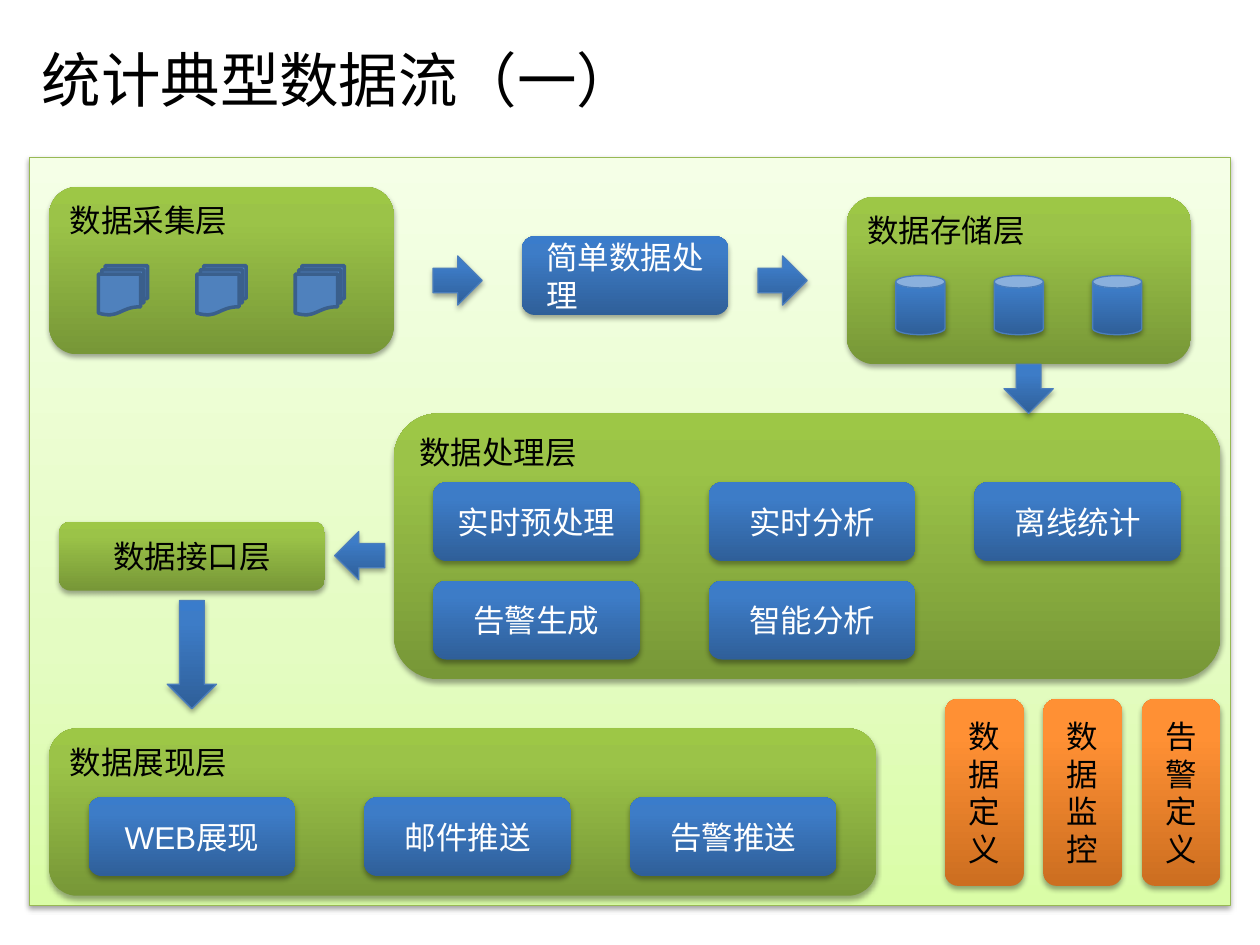
import copy
from dataclasses import dataclass

import pptx
import pptx.dml.color
import pptx.enum.shapes
import pptx.enum.text
import pptx.oxml
import pptx.oxml.ns
import pptx.util

MSO = pptx.enum.shapes.MSO_SHAPE
ANCHOR = pptx.enum.text.MSO_ANCHOR
RGB = pptx.dml.color.RGBColor.from_string


@dataclass(frozen=True)
class Theme:
    green: tuple = ((0, "779737"), (80, "9BC348"), (100, "9DC746"))
    blue: tuple = ((0, "2F5F99"), (80, "3D7CC7"), (100, "3A7CCB"))
    orange: tuple = ((0, "CC6E20"), (80, "FF9034"), (100, "FF9136"))
    pale: tuple = ((0, "DAFDA7"), (35, "E4FCC2"), (100, "F5FFE7"))
    pale_line: str = "98B955"
    blue_line: str = "4B7EBC"
    doc: str = "4F81BD"
    doc_line: str = "3A5F8C"
    dark: str = "000000"
    light: str = "FFFFFF"
    title_font: str = "Calibri"
    body_font: str = "Arial"
    title_size: int = 34
    body_size: int = 18


class FlowSlide:
    """Draws layers, steps and arrows on a slide of 128 columns by 96 rows."""

    def __init__(self, prs, theme):
        self.theme = theme
        self.s = prs.slides.add_slide(prs.slide_layouts[6])
        self.col = prs.slide_width / 128
        self.row = prs.slide_height / 96

    def place(self, x, y, w, h):
        return [round(v) for v in (x * self.col, y * self.row, w * self.col, h * self.row)]

    def label(self, tf, text, font, size, color, anchor):
        tf.word_wrap = True
        tf.vertical_anchor = anchor
        p = tf.paragraphs[0]
        p.alignment = pptx.enum.text.PP_ALIGN.LEFT
        r = p.add_run()
        r.text = text
        r.font.name = font
        r.font.size = pptx.util.Pt(size)
        r.font.color.rgb = RGB(color)

    def gradient(self, sp, stops):
        sp.fill.gradient()
        sp.fill.gradient_angle = 90
        gs_list = sp._element.spPr.find(".//" + pptx.oxml.ns.qn("a:gsLst"))
        gs_list.insert(1, copy.deepcopy(gs_list[0]))
        for stop, (position, color) in zip(sp.fill.gradient_stops, stops):
            stop.position = position / 100
            stop.color.rgb = RGB(color)

    def cast_shadow(self, sp, alpha, distance):
        effects = sp._element.spPr.find(pptx.oxml.ns.qn("a:effectLst"))
        effects.append(pptx.oxml.parse_xml(
            f'<a:outerShdw {pptx.oxml.ns.nsdecls("a")} blurRad="{pptx.util.Pt(3.1)}" '
            f'dist="{pptx.util.Pt(distance)}" dir="5400000" rotWithShape="0">'
            f'<a:srgbClr val="000000"><a:alpha val="{alpha * 1000}"/></a:srgbClr></a:outerShdw>'))

    def shape(self, kind, at, fill, line=None, width=0.75, shadow=(35, 1.8)):
        sp = self.s.shapes.add_shape(kind, *self.place(*at))
        sp.shadow.inherit = False
        if isinstance(fill, str):
            sp.fill.solid()
            sp.fill.fore_color.rgb = RGB(fill)
        else:
            self.gradient(sp, fill)
        if line:
            sp.line.color.rgb = RGB(line)
            sp.line.width = pptx.util.Pt(width)
        else:
            sp.line.fill.background()
        if shadow:
            self.cast_shadow(sp, *shadow)
        return sp

    def title(self, at, text):
        t = self.theme
        tf = self.s.shapes.add_textbox(*self.place(*at)).text_frame
        self.label(tf, text, t.title_font, t.title_size, t.dark, ANCHOR.MIDDLE)

    def panel(self, at):
        self.shape(MSO.RECTANGLE, at, self.theme.pale, self.theme.pale_line, shadow=(38, 1.6))

    def layer(self, at, text):
        t = self.theme
        sp = self.shape(MSO.ROUNDED_RECTANGLE, at, t.green)
        self.label(sp.text_frame, text, t.body_font, t.body_size, t.dark, ANCHOR.TOP)

    def box(self, at, text, fill, color):
        t = self.theme
        tf = self.shape(MSO.ROUNDED_RECTANGLE, at, fill).text_frame
        self.label(tf, text, t.body_font, t.body_size, color, ANCHOR.MIDDLE)
        tf._txBody.bodyPr.set("anchorCtr", "1")

    def step(self, x, y, text):
        self.box((x, y, 21, 8), text, self.theme.blue, self.theme.light)

    def arrow(self, kind, at):
        self.shape(kind, at, self.theme.blue, self.theme.blue_line)

    def database(self, x, y):
        self.shape(MSO.CAN, (x, y, 5, 6), self.theme.blue, self.theme.blue_line)

    def documents(self, x, y):
        t = self.theme
        self.shape(MSO.FLOWCHART_MULTIDOCUMENT, (x, y, 5, 5), t.doc, t.doc_line, 2, None)


def main():
    prs = pptx.Presentation()
    prs.slide_width = pptx.util.Inches(10)
    prs.slide_height = pptx.util.Inches(7.5)
    theme = Theme()
    flow = FlowSlide(prs, theme)

    flow.panel((3, 16, 122, 76))
    flow.title((3, 0, 115.2, 16), "统计典型数据流（一）")
    flow.box((6, 53, 27, 7), "数据接口层", theme.green, theme.dark)
    for at, text in (
        ((5, 74, 84, 17), "数据展现层"),
        ((86, 20, 35, 17), "数据存储层"),
        ((5, 19, 35, 17), "数据采集层"),
        ((40, 42, 84, 27), "数据处理层"),
    ):
        flow.layer(at, text)

    for i, text in enumerate(("数据定义", "数据监控", "告警定义")):
        flow.documents(10 + 10 * i, 27)
        flow.database(91 + 10 * i, 28)
        flow.box((96 + 10 * i, 71, 8, 19), text, theme.orange, theme.dark)

    flow.step(53, 24, "简单数据处理")
    for left, y, names in (
        (44, 49, ("实时预处理", "实时分析", "离线统计")),
        (44, 59, ("告警生成", "智能分析")),
        (9, 81, ("WEB展现", "邮件推送", "告警推送")),
    ):
        for offset, text in zip((0, 28, 55), names):
            flow.step(left + offset, y, text)

    for kind, at in (
        (MSO.RIGHT_ARROW, (44, 26, 5, 5)),
        (MSO.RIGHT_ARROW, (77, 26, 5, 5)),
        (MSO.DOWN_ARROW, (102, 37, 5, 5)),
        (MSO.LEFT_ARROW, (34, 54, 5.1, 4.9)),
        (MSO.DOWN_ARROW, (17, 61, 5, 11)),
    ):
        flow.arrow(kind, at)

    prs.save("out.pptx")


if __name__ == "__main__":
    main()
